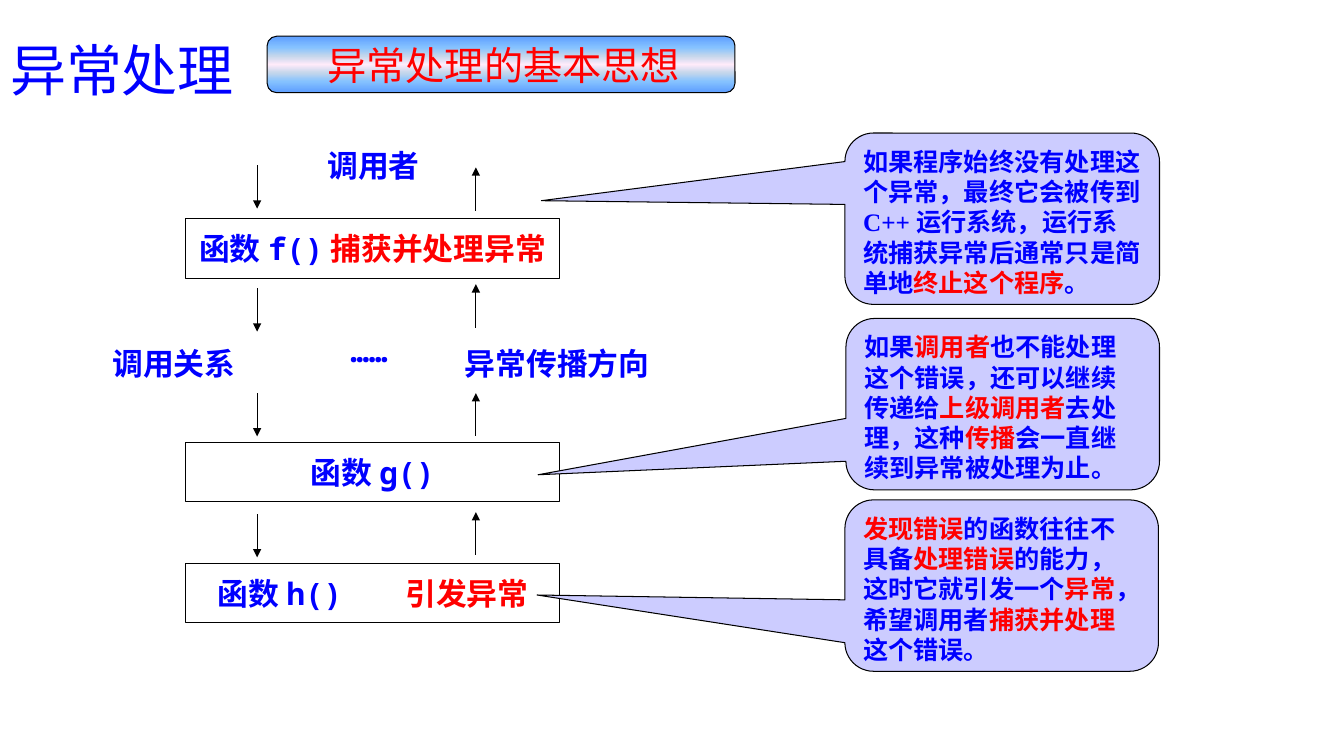
from dataclasses import dataclass

from lxml import etree
from pptx import Presentation
from pptx import util as u
from pptx.dml import color
from pptx.enum import lang, shapes, text
from pptx.oxml import ns, parse_xml

BLUE, RED, BLACK, LILAC = "0000FF", "FF0000", "000000", "CCCCFF"
HAN, MONO, SERIF, SANS = "Noto Sans CJK SC", "Noto Sans Mono", "Times New Roman", "Arial"
LEFT, MID = text.PP_ALIGN.LEFT, text.PP_ALIGN.CENTER
KIND = shapes.MSO_SHAPE


@dataclass
class Area:
    left: float
    top: float
    width: float
    height: float

    def lengths(self) -> list:
        return [u.Inches(n) for n in (self.left, self.top, self.width, self.height)]


@dataclass
class Style:
    size: float
    face: str
    bold: bool = True
    align: int = MID


@dataclass
class Label:
    area: Area
    words: str
    pad: float = 0


@dataclass
class Callout:
    area: Area
    tip: tuple
    words: str


LABEL, NOTE = Style(22, MONO), Style(18, SERIF, align=LEFT)
HEAD, TOPIC = Style(40, HAN, False, LEFT), Style(28, SANS, False)


def paint(form, hue: str) -> None:
    form.solid()
    form.fore_color.rgb = color.RGBColor.from_string(hue)


def write(frame, words: str, style: Style):
    """Pieces between bars alternate between blue and red."""
    frame.word_wrap = True
    para = frame.paragraphs[0]
    para.alignment = style.align
    for i, piece in enumerate(words.split("|")):
        if not piece:
            continue
        run = para.add_run()
        run.text = piece
        font = run.font
        font.size, font.bold, font.name = u.Pt(style.size), style.bold, style.face
        font.language_id = lang.MSO_LANGUAGE_ID.SIMPLIFIED_CHINESE
        paint(font.fill, RED if i % 2 else BLUE)
        east = etree.SubElement(font._element, ns.qn("a:ea"))
        east.set("typeface", HAN)
    return para


def center(frame, pad: float) -> None:
    frame.vertical_anchor = text.MSO_ANCHOR.MIDDLE
    frame.margin_left = frame.margin_right = u.Inches(pad)
    frame.margin_top = frame.margin_bottom = 0


def draw(slide, kind, area: Area, hue: str = ""):
    shape = slide.shapes.add_shape(kind, *area.lengths())
    shape.shadow.inherit = False
    if hue:
        paint(shape.fill, hue)
    else:
        shape.fill.background()
    paint(shape.line.fill, BLACK)
    shape.line.width = u.Pt(0.75)
    return shape


def blend(shape, stops: list) -> None:
    marks = "".join(
        f'<a:gs pos="{spot * 1000}"><a:srgbClr val="{hue}"/></a:gs>' for spot, hue in stops
    )
    fill = parse_xml(
        f'<a:gradFill {ns.nsdecls("a")} rotWithShape="1"><a:gsLst>{marks}</a:gsLst>'
        '<a:lin ang="5400000" scaled="0"/></a:gradFill>'
    )
    props = shape._element.spPr
    props.replace(props.find(ns.qn("a:noFill")), fill)


def arrow(slide, x: float, top: float, end: str) -> None:
    ends = [u.Inches(n) for n in (x, top, x, top + 0.43)]
    link = slide.shapes.add_connector(shapes.MSO_CONNECTOR.STRAIGHT, *ends)
    paint(link.line.fill, BLACK)
    link.line.width = u.Pt(0.75)
    tip = etree.SubElement(link.line._get_or_add_ln(), ns.qn(end))
    tip.set("type", "triangle")
    etree.SubElement(link._element.spPr, ns.qn("a:effectLst"))


def place(slide, label: Label) -> None:
    frame = slide.shapes.add_textbox(*label.area.lengths()).text_frame
    center(frame, label.pad)
    write(frame, label.words, LABEL)


def main() -> None:
    deck = Presentation()
    deck.slide_width, deck.slide_height = u.Inches(13.33), u.Inches(7.5)
    slide = deck.slides.add_slide(deck.slide_layouts[5])

    title = slide.shapes.title
    title.left, title.top, title.width, title.height = Area(0, 0, 11.5, 1.45).lengths()
    title.text_frame.auto_size = text.MSO_AUTO_SIZE.NONE
    title.text_frame.vertical_anchor = text.MSO_ANCHOR.MIDDLE
    write(title.text_frame, "异常处理", HEAD).line_spacing = 0.9

    banner = draw(slide, KIND.ROUNDED_RECTANGLE, Area(2.65, 0.36, 4.64, 0.56))
    blend(banner, [(0, "5E9EFF"), (20, "85C2FF"), (35, "C4D6EB"), (50, "FFEBFA"),
                   (65, "C4D6EB"), (80, "85C2FF"), (100, "5E9EFF")])
    topic = slide.shapes.add_textbox(*Area(2.69, 0.36, 4.61, 0.45).lengths())
    write(topic.text_frame, "|异常处理的基本思想", TOPIC)

    for top, words in ((2.17, "函数f()|捕获并处理异常"), (4.39, "函数g()"),
                       (5.59, "函数h()\t|引发异常")):
        frame = draw(slide, KIND.RECTANGLE, Area(1.84, top, 3.71, 0.59)).text_frame
        center(frame, 0.1)
        para = write(frame, words, LABEL)
        if "\t" in words:
            para.alignment = LEFT
            frame.margin_left = u.Inches(0.32)
            tabs = etree.SubElement(para._p.get_or_add_pPr(), ns.qn("a:tabLst"))
            stop = etree.SubElement(tabs, ns.qn("a:tab"))
            stop.set("pos", str(u.Inches(1.86)))
            stop.set("algn", "l")

    for x, end, tops in ((2.55, "a:tailEnd", (1.64, 2.86, 3.9, 5.1)),
                         (4.72, "a:headEnd", (1.66, 2.82, 3.9, 5.08))):
        for top in tops:
            arrow(slide, x, top, end)

    for label in (
        Label(Area(2.05, 3.25, 3.22, 0.45), "……", 0.1),
        Label(Area(2.85, 1.44, 1.71, 0.39), "调用者"),
        Label(Area(4.6, 3.41, 1.85, 0.39), "异常传播方向"),
        Label(Area(0.87, 3.41, 1.71, 0.39), "调用关系"),
    ):
        place(slide, label)

    for note in (
        Callout(Area(8.38, 4.96, 3.11, 1.7), (-1.482, 0.055),
                "|发现错误|的函数往往不具备|处理错误|的能力，这时它就引发一个|异常|"
                "，希望调用者|捕获并处理|这个错误。"),
        Callout(Area(8.39, 3.16, 3.11, 1.7), (-1.482, 0.412),
                "如果|调用者|也不能处理这个错误，还可以继续传递给|上级调用者|"
                "去处理，这种|传播|会一直继续到异常被处理为止。"),
        Callout(Area(8.38, 1.32, 3.12, 1.7), (-1.465, -0.105),
                "如果程序始终没有处理这个异常，最终它会被传到C++运行系统，"
                "运行系统捕获异常后通常只是简单地|终止这个程序|。"),
    ):
        shape = draw(slide, KIND.ROUNDED_RECTANGULAR_CALLOUT, note.area, LILAC)
        shape.adjustments[0], shape.adjustments[1] = note.tip
        shape.text_frame.vertical_anchor = text.MSO_ANCHOR.TOP
        write(shape.text_frame, note.words, NOTE)

    deck.save("out.pptx")


if __name__ == "__main__":
    main()
